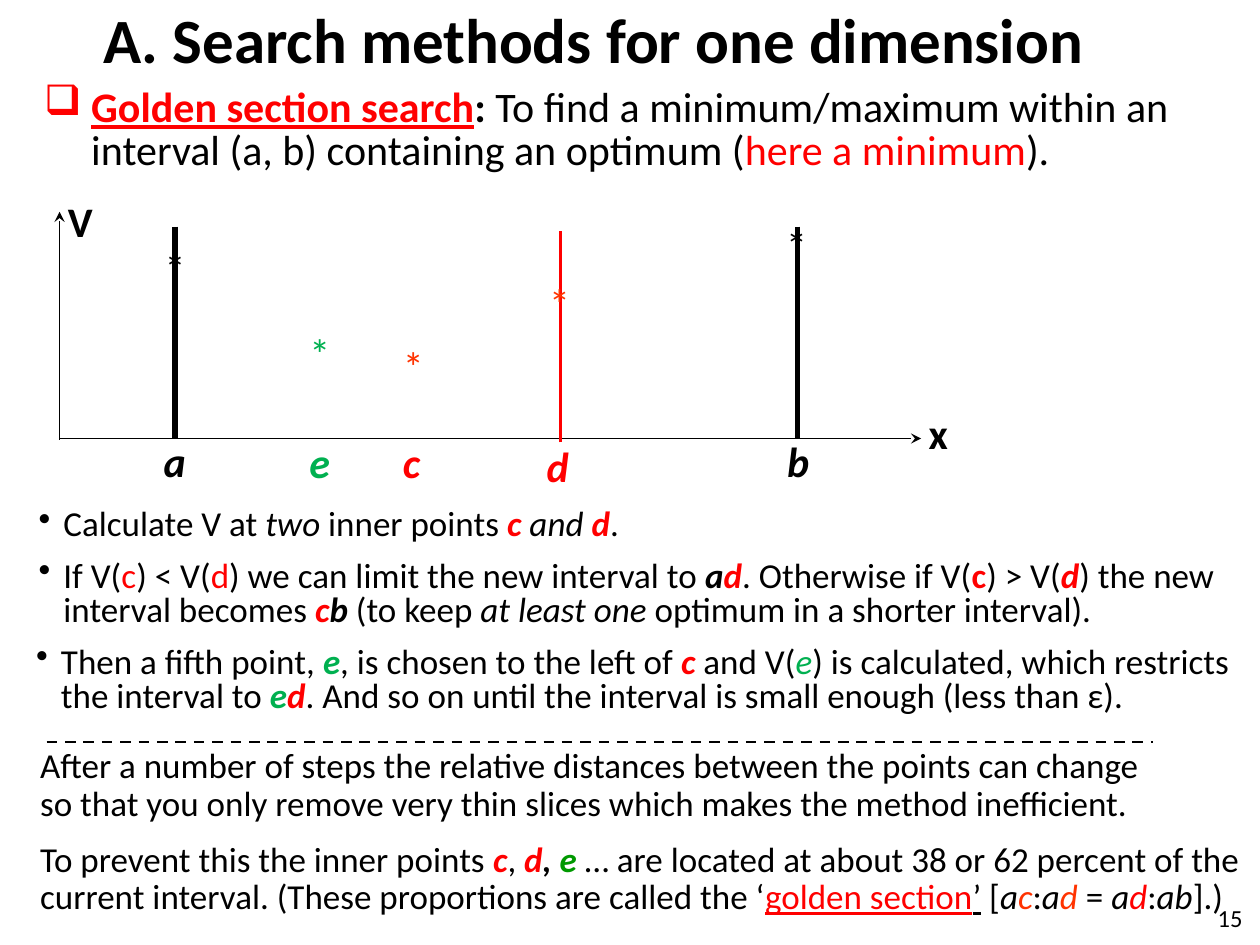
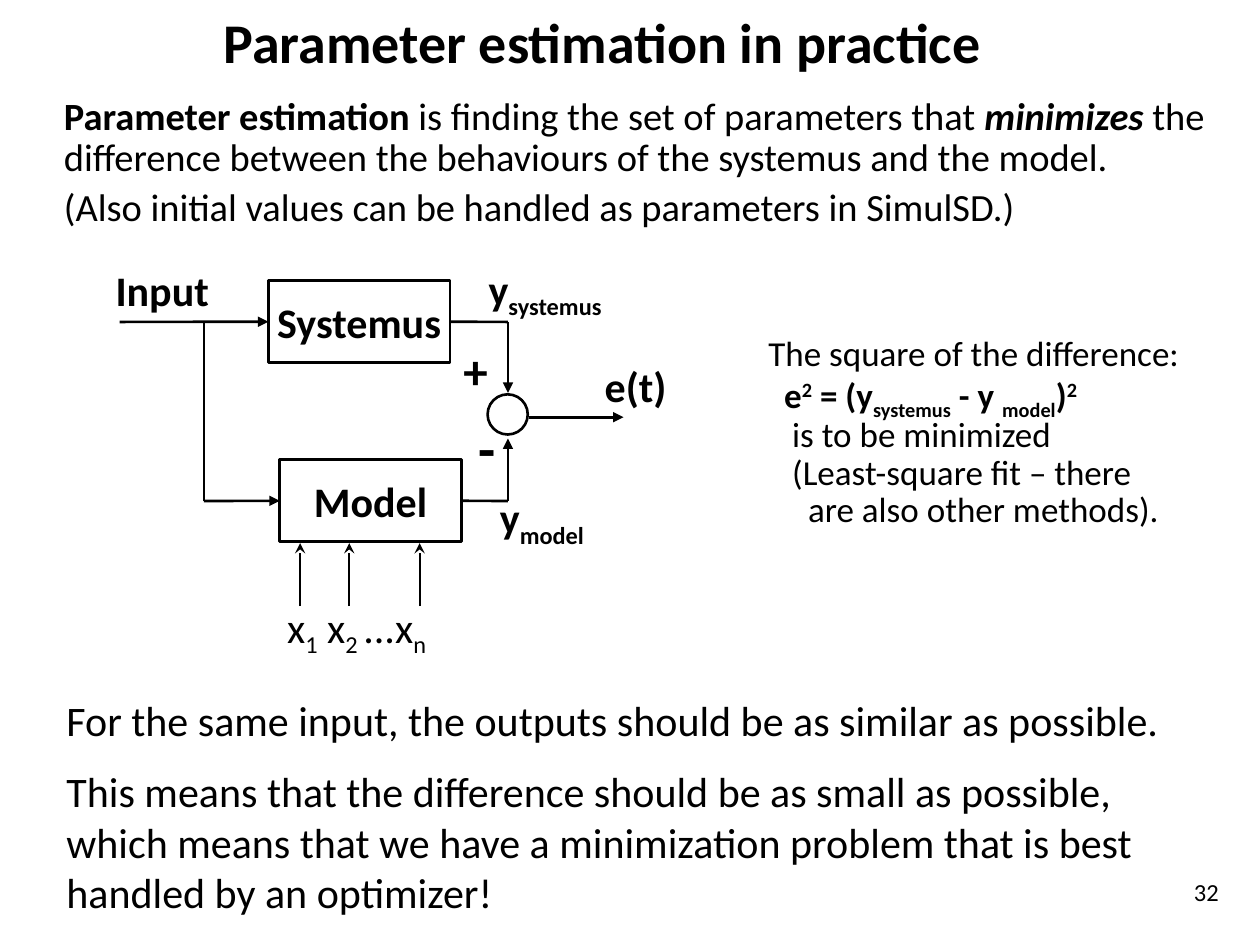
from lxml.etree import SubElement
from pptx import Presentation
from pptx.dml.color import RGBColor
from pptx.enum.dml import MSO_LINE
from pptx.enum.shapes import MSO_CONNECTOR, MSO_SHAPE
from pptx.enum.text import MSO_ANCHOR, PP_ALIGN
from pptx.oxml.ns import qn
from pptx.util import Cm, Pt

FONT = "Calibri"
COLOURS = {
    "black": "000000",
    "white": "FFFFFF",
    "red": "FF0000",
    "orange": "FF3300",
    "green": "00B050",
    "leaf": "009900",
}
BASELINES = {"sub": "-25000", "super": "30000"}


def colour(name):
    return RGBColor.from_string(COLOURS[name])


def add_run(paragraph, text, style=""):
    run = paragraph.add_run()
    run.text = text
    for word in style.split():
        if word in COLOURS:
            run.font.color.rgb = colour(word)
        elif word in BASELINES:
            run._r.get_or_add_rPr().set("baseline", BASELINES[word])
        else:
            setattr(run.font, word, True)


def write(frame, paragraphs, size, bold=False, italic=False, ink="black",
          align=PP_ALIGN.LEFT, line=None, gap=0):
    for index, runs in enumerate(paragraphs):
        paragraph = frame.paragraphs[0] if index == 0 else frame.add_paragraph()
        paragraph.alignment = align
        if line:
            paragraph.line_spacing = line
        if index:
            paragraph.space_before = Pt(gap)
        font = paragraph.font
        font.name, font.size, font.bold, font.italic = FONT, Pt(size), bold, italic
        font.color.rgb = colour(ink)
        for run in [(runs,)] if isinstance(runs, str) else runs:
            add_run(paragraph, *run)


def add_text(slide, place, paragraphs, size, insets=(0.25, 0.13), fill=None,
             anchor=MSO_ANCHOR.TOP, **style):
    shape = slide.shapes.add_textbox(*map(Cm, place))
    frame = shape.text_frame
    frame.word_wrap = True
    frame.vertical_anchor = anchor
    frame.margin_left = frame.margin_right = Cm(insets[0])
    frame.margin_top = frame.margin_bottom = Cm(insets[1])
    if fill:
        shape.fill.solid()
        shape.fill.fore_color.rgb = colour(fill)
    write(frame, paragraphs, size, **style)
    return shape


def set_indent(paragraph, left, hanging=0.0):
    properties = paragraph._p.get_or_add_pPr()
    properties.set("marL", str(Cm(left)))
    properties.set("indent", str(-Cm(hanging)))
    return properties


def add_bullet_text(slide, place, runs, size, symbol, hanging, ink="black", **style):
    shape = add_text(slide, place, [runs], size, **style)
    properties = set_indent(shape.text_frame.paragraphs[0], hanging, hanging)
    default_font = properties.find(qn("a:defRPr"))
    bullet_colour = SubElement(properties, qn("a:buClr"))
    SubElement(bullet_colour, qn("a:srgbClr"), val=COLOURS[ink])
    SubElement(properties, qn("a:buChar"), char=symbol)
    properties.append(default_font)


def add_title(slide, place, text, size):
    add_text(slide, place, [text], size, bold=True, align=PP_ALIGN.CENTER,
             anchor=MSO_ANCHOR.MIDDLE)


def add_page_number(slide, left, top, number):
    add_text(slide, (left, top, 1.15, 1.27), [number], 14,
             align=PP_ALIGN.RIGHT, anchor=MSO_ANCHOR.MIDDLE)


def add_line(slide, start, end, width=1.5, ink="black", arrow=None, dash=None):
    connector = slide.shapes.add_connector(
        MSO_CONNECTOR.STRAIGHT, *map(Cm, (*start, *end)))
    connector.line.width = Pt(width)
    connector.line.color.rgb = colour(ink)
    if dash:
        connector.line.dash_style = dash
    if arrow:
        SubElement(connector.line._get_or_add_ln(), qn("a:tailEnd"), type=arrow)
    SubElement(connector._element.spPr, qn("a:effectLst"))
    return connector


def add_outlined(slide, kind, place):
    shape = slide.shapes.add_shape(kind, *map(Cm, place))
    shape.shadow.inherit = False
    shape.fill.solid()
    shape.fill.fore_color.rgb = colour("white")
    shape.line.color.rgb = colour("black")
    shape.line.width = Pt(1.5)
    return shape


def add_block(slide, left, top, name):
    block = add_outlined(slide, MSO_SHAPE.RECTANGLE, (left, top, 3.66, 1.65))
    frame = block.text_frame
    frame.margin_left = frame.margin_right = 0
    frame.vertical_anchor = MSO_ANCHOR.MIDDLE
    write(frame, [name], 24, bold=True, align=PP_ALIGN.CENTER)
    return block


def add_interval_plot(slide):
    add_text(slide, (1.12, 3.81, 1.27, 1.27), ["V"], 24, bold=True)
    add_text(slide, (18.47, 8.08, 0.94, 1.27), ["x"], 24, bold=True)
    add_line(slide, (1.2, 8.84), (18.57, 8.84), 1, arrow="stealth")
    add_line(slide, (1.2, 8.86), (1.2, 4.27), 1, arrow="stealth")
    for x in (3.53, 16.08):
        add_line(slide, (x, 4.57), (x, 8.84), 3)
    add_line(slide, (11.3, 8.92), (11.3, 4.65), 1.5, "red")

    points = [
        ("a", "black", (3.05, 8.64), "black", (3.07, 4.75)),
        ("b", "black", (15.62, 8.64), "black", (15.6, 4.29)),
        ("c", "red", (7.87, 8.66), "orange", (7.87, 6.73)),
        ("d", "red", (10.77, 8.76), "orange", (10.82, 5.46)),
        ("e", "green", (5.99, 8.66), "green", (5.99, 6.48)),
    ]
    for name, name_ink, name_at, star_ink, star_at in points:
        add_text(slide, (*name_at, 0.84, 1.3), [name], 24,
                 bold=True, italic=True, ink=name_ink)
        add_text(slide, (*star_at, 0.84, 1.3), ["*"], 24, ink=star_ink)


def build_golden_section(slide):
    c, d = ("c", "bold italic red"), ("d", "bold italic red")
    e = ("e", "bold italic green")
    add_title(slide, (1.17, 0.25, 21.59, 1.04),
              "A. Search methods for one dimension", 36)
    add_bullet_text(slide, (0.64, 1.65, 24.87, 2.06), [
        ("Golden section search", "bold underline red"), (":", "bold"),
        (" To find a minimum/maximum within an interval (a, b) containing an optimum (",),
        ("here a minimum", "red"), (").",),
    ], 24, "❑", 0.95, "red", line=0.85)
    add_interval_plot(slide)

    steps = [
        ((0.53, 10.08, 13.11, 1.02), 0.9, [
            ("Calculate V at ",), ("two", "italic"), (" inner points ",), c,
            (" and ", "italic"), d, (".",)]),
        ((0.53, 11.2, 24.4, 1.65), 0.8, [
            ("If V(",), ("c", "red"), (") < V(",), ("d", "red"),
            (") we can limit the new interval to ",), ("a", "bold italic"), d,
            (". Otherwise if V(",), ("c", "bold red"), (") > V(",), d,
            (") the new interval becomes ",), c, ("b", "bold italic"),
            (" (to keep ",), ("at least one ", "italic"),
            ("optimum in a shorter interval).",)]),
        ((0.48, 12.93, 24.71, 1.63), 0.8, [
            ("Then a fifth point, ",), e, (", is chosen to the left of ",), c,
            (" and V(",), ("e", "italic green"),
            (") is calculated, which restricts the interval to ",), e, d,
            (". And so on until the interval is small enough (less than ε).",)]),
    ]
    for place, line, runs in steps:
        add_bullet_text(slide, place, runs, 20, "•", 0.5, line=line)

    add_text(slide, (0.56, 14.96, 23.16, 1.78), [
        "After a number of steps the relative distances between the points can change "
        "so that you only remove very thin slices which makes the method inefficient.",
    ], 20, fill="white", line=0.9)
    add_line(slide, (0.94, 14.96), (23.24, 14.96), dash=MSO_LINE.DASH)
    add_text(slide, (0.56, 16.84, 24.69, 1.8), [[
        ("To prevent this the inner points ",), c, (", ",), d, (", ", "bold italic"),
        ("e", "bold italic leaf"),
        (" … are located at about 38 or 62 percent of the current interval. "
         "(These proportions are called the ‘",),
        ("golden section", "underline red"), ("’", "underline"), (" [",),
        ("a", "italic"), ("c", "italic orange"), (":",),
        ("a", "italic"), ("d ", "italic orange"), ("= ",),
        ("a", "italic"), ("d", "italic red"), (":",), ("ab", "italic"), ("].)",),
    ]], 20, fill="white", line=0.9)
    add_page_number(slide, 24.15, 17.86, "15")


def add_model_diagram(slide):
    input_x, branch_x, sum_x = 2.41, 4.11, 10.24
    systemus = add_block(slide, 5.41, 5.66, "Systemus")
    model = add_block(slide, 5.64, 9.27, "Model")
    systemus_y, model_y = 6.49, 10.1
    add_outlined(slide, MSO_SHAPE.OVAL, (9.83, 7.95, 0.81, 0.81))

    for start, end, block in [
        ((input_x, systemus_y), (5.41, systemus_y), systemus),
        ((branch_x, model_y), (5.64, model_y), model),
    ]:
        add_line(slide, start, end, arrow="triangle").end_connect(block, 1)
    for start, end, block in [
        ((9.07, systemus_y), (sum_x, systemus_y), systemus),
        ((9.3, model_y), (sum_x, model_y), model),
    ]:
        add_line(slide, start, end).begin_connect(block, 3)
    add_line(slide, (branch_x, systemus_y), (branch_x, model_y))
    for start, end in [
        ((sum_x, systemus_y), (sum_x, 7.92)),
        ((sum_x, model_y), (sum_x, 8.84)),
        ((10.67, 8.41), (12.57, 8.41)),
    ]:
        add_line(slide, start, end, arrow="triangle")
    for x in (6.05, 7.04, 8.46):
        add_line(slide, (x, 12.22), (x, 10.95), 1, arrow="stealth")

    labels = [
        ((2.08, 5.21, 2.97, 1.3), "Input", 24),
        ((9.6, 5.18, 3.4, 1.3), [("y",), ("systemus", "sub")], 24),
        ((9.83, 9.78, 2.97, 1.3), [("y",), ("model", "sub")], 24),
        ((9.09, 6.73, 1.07, 1.45), "+", 28),
        ((9.4, 8.2, 0.84, 1.63), "-", 32),
        ((11.94, 7.14, 1.91, 1.3), "e(t)", 24),
    ]
    for place, runs, size in labels:
        add_text(slide, place, [runs], size, bold=True)
    add_text(slide, (5.54, 11.99, 3.9, 1.3), [[
        ("x",), ("1", "sub"), (" x",), ("2 ", "sub"), ("...x",), ("n", "sub"),
    ]], 24)


def build_parameter_estimation(slide):
    add_title(slide, (3, 0.2, 18.29, 1.24), "Parameter estimation in practice", 32)
    add_text(slide, (1.24, 1.93, 23.19, 2.79), [
        [("Parameter estimation", "bold"),
         (" is finding the set of parameters that ",), ("minimizes", "bold italic"),
         (" the difference between the behaviours of the systemus and the model.",)],
        "(Also initial values can be handled as parameters in SimulSD.)",
    ], 22, insets=(0.05, 0.03), line=0.9, gap=4.4)
    add_model_diagram(slide)

    square = add_text(slide, (15.44, 6.65, 9.22, 4.11), [
        "The square of the difference:",
        [("e", "bold"), ("2", "bold super"), (" = (y", "bold"),
         ("systemus", "bold sub"), (" - y ", "bold"), ("model", "bold sub"),
         (")", "bold"), ("2", "bold super")],
        "is to be minimized",
        "(Least-square fit – there",
        "are also other methods).",
    ], 20, insets=(0.05, 0.13), fill="white", line=0.9)
    for paragraph, left in zip(square.text_frame.paragraphs, (0, 0.32, 0.48, 0.48, 0.8)):
        set_indent(paragraph, left)

    add_text(slide, (1.09, 13.87, 22.96, 4.88), [
        "For the same input, the outputs should be as similar as possible.",
        "This means that the difference should be as small as possible, which means "
        "that we have a minimization problem that is best handled by an optimizer!",
    ], 24, gap=12)
    add_page_number(slide, 23.67, 17.35, "32")


def main():
    presentation = Presentation()
    presentation.slide_width, presentation.slide_height = Cm(25.4), Cm(19.05)
    blank = presentation.slide_layouts[6]
    for build in (build_golden_section, build_parameter_estimation):
        build(presentation.slides.add_slide(blank))
    presentation.save("out.pptx")


if __name__ == "__main__":
    main()
